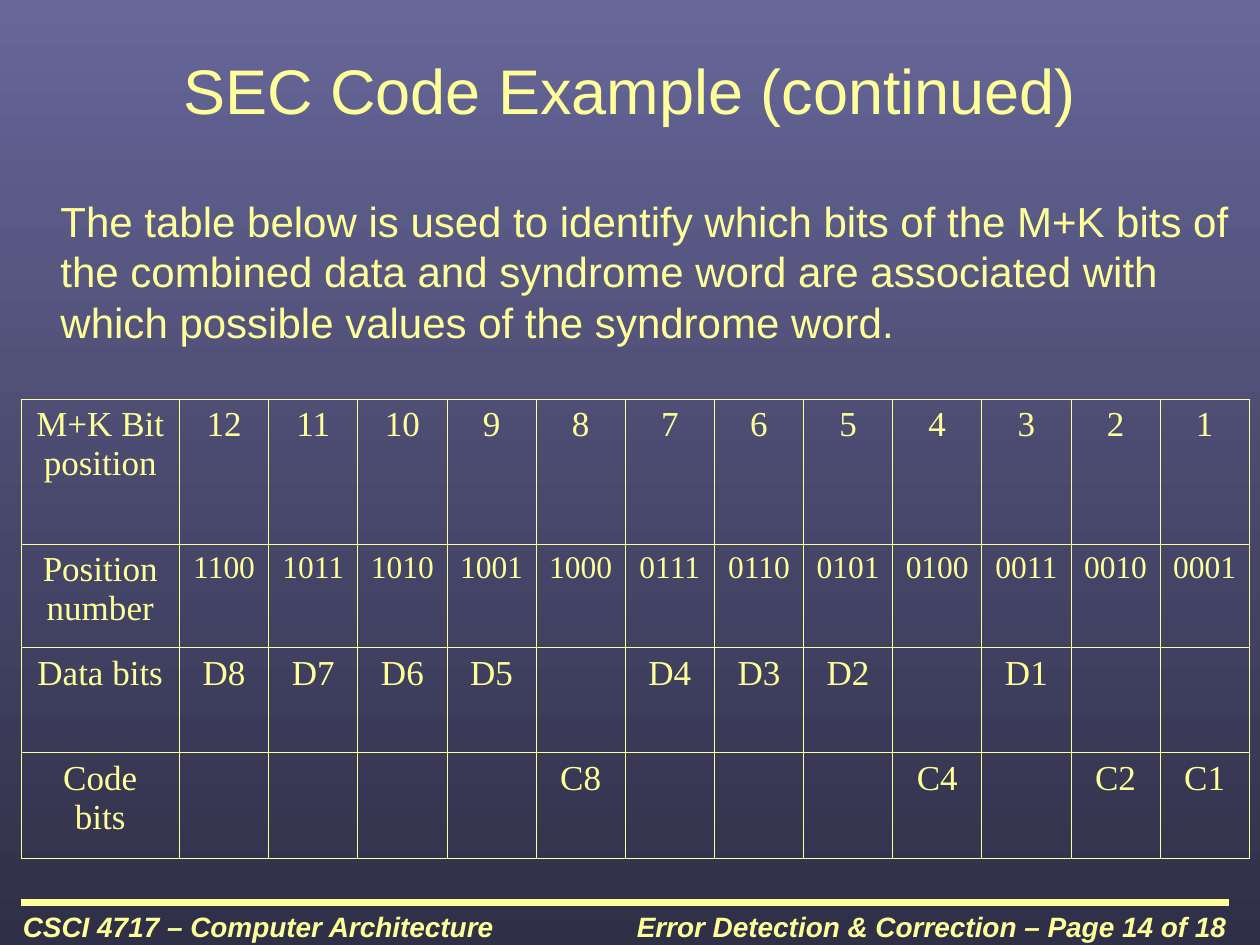
from lxml import etree
from pptx import Presentation
from pptx.dml.color import RGBColor
from pptx.enum.shapes import MSO_CONNECTOR
from pptx.enum.text import MSO_ANCHOR, MSO_AUTO_SIZE, PP_ALIGN
from pptx.oxml.ns import qn
from pptx.util import Inches, Pt

YELLOW = RGBColor(0xFF, 0xFF, 0x99)
SKY = RGBColor(0x66, 0x66, 0x99)
NIGHT = RGBColor(0x2F, 0x2F, 0x47)
LEFT, CENTER, RIGHT = PP_ALIGN.LEFT, PP_ALIGN.CENTER, PP_ALIGN.RIGHT
TOP, MIDDLE = MSO_ANCHOR.TOP, MSO_ANCHOR.MIDDLE
NO_FIT = MSO_AUTO_SIZE.NONE
STRAIGHT = MSO_CONNECTOR.STRAIGHT
UNIT = Inches(1) / 6
BITS = 12
LABEL_WIDTH = 7.55
ROW_HEIGHTS = (6.9, 4.95, 5, 5.05)


def grid(*units):
    """Convert grid units, 60 across and 45 down the slide, to lengths."""
    return [round(u * UNIT) for u in units]


def write(tf, text, size, align, font="Arial", bold=False, before=0):
    """Fill a text frame with one formatted paragraph and return it."""
    tf.text = text
    tf.word_wrap = True
    p = tf.paragraphs[0]
    p.alignment = align
    p.space_before = Pt(before)
    for r in p.runs:
        r.font.name, r.font.size = font, Pt(size)
        r.font.bold = r.font.italic = bold
        r.font.color.rgb = YELLOW
    return p


def fill_placeholder(sp, box, anchor, text, size, align, before=0):
    """Move a placeholder to its box and write its text."""
    sp.left, sp.top, sp.width, sp.height = grid(*box)
    tf = sp.text_frame
    tf.auto_size = NO_FIT
    tf.vertical_anchor = anchor
    return write(tf, text, size, align, before=before)


def add_body(sp, box, text):
    """Write the body as an indented paragraph without a bullet."""
    p = fill_placeholder(sp, box, TOP, text, 24, LEFT, before=6)
    pPr = p._p.get_or_add_pPr()
    pPr.set("marL", str(Inches(0.38)))
    pPr.set("indent", "0")
    etree.SubElement(pPr, qn("a:buNone"))


def add_footer(s, box, course, topic):
    """Draw the footer rule with the course on the left and topic on the right."""
    x, y, w, h = box
    rule = s.shapes.add_connector(STRAIGHT, *grid(x, y, x + w, y))
    rule.line.color.rgb = YELLOW
    rule.line.width = Pt(4)
    etree.SubElement(rule._element.spPr, qn("a:effectLst"))
    half = 30.5
    for left, text, align in ((x - 0.5, course, LEFT),
                              (x + w + 0.5 - half, topic, RIGHT)):
        sp = s.shapes.add_textbox(*grid(left, y, half, h))
        write(sp.text_frame, text, 16, align, bold=True, before=10)


def code_rows():
    """Derive the table rows: powers of two hold code bits, the rest data bits."""
    positions = range(BITS, 0, -1)
    code = {n for n in positions if n & (n - 1) == 0}
    data = [n for n in range(1, BITS + 1) if n not in code]
    return [
        ["M+K Bit position"] + [str(n) for n in positions],
        ["Position number"] + [f"{n:04b}" for n in positions],
        ["Data bits"] + [f"D{data.index(n) + 1}" if n in data else "" for n in positions],
        ["Code bits"] + [f"C{n}" if n in code else "" for n in positions],
    ]


def set_borders(cell):
    """Give a cell thin yellow lines on all sides and no fill."""
    tcPr = cell._tc.get_or_add_tcPr()
    for side in ("a:lnL", "a:lnR", "a:lnT", "a:lnB"):
        ln = etree.SubElement(tcPr, qn(side), w=str(Pt(0.45)))
        fill = etree.SubElement(ln, qn("a:solidFill"))
        etree.SubElement(fill, qn("a:srgbClr"), val=str(YELLOW))
    cell.fill.background()


def add_code_table(s, box):
    """Place the bit table, with a wide label column and equal bit columns."""
    rows = code_rows()
    table = s.shapes.add_table(len(rows), BITS + 1, *grid(*box)).table
    table.first_row = table.horz_banding = False
    widths = [LABEL_WIDTH] + [(box[2] - LABEL_WIDTH) / BITS] * BITS
    for col, width in zip(table.columns, grid(*widths)):
        col.width = width
    for row, height in zip(table.rows, grid(*ROW_HEIGHTS)):
        row.height = height
    for i, texts in enumerate(rows):
        for j, text in enumerate(texts):
            cell = table.cell(i, j)
            size = 18 if i == 1 and j else 20
            write(cell.text_frame, text, size, CENTER, font="Times New Roman")
            set_borders(cell)


def main():
    """Build the slide and save it."""
    prs = Presentation()
    prs.slide_width, prs.slide_height = grid(60, 45)
    s = prs.slides.add_slide(prs.slide_layouts[1])
    fill = s.background.fill
    fill.gradient()
    fill.gradient_angle = 270
    for stop, color, position in zip(fill.gradient_stops, (SKY, NIGHT), (0, 1)):
        stop.color.rgb = color
        stop.position = position
    fill_placeholder(s.shapes.title, (0, 1, 60, 6.5), MIDDLE,
                     "SEC Code Example (continued)", 36, CENTER)
    add_body(s.placeholders[1], (0, 9, 60, 8),
             "The table below is used to identify which bits of the M+K bits of "
             "the combined data and syndrome word are associated with which "
             "possible values of the syndrome word.")
    add_code_table(s, (1, 19, 58.5, sum(ROW_HEIGHTS)))
    add_footer(s, (1, 43, 57.5, 2), "CSCI 4717 – Computer Architecture",
               "Error Detection & Correction – Page 14 of 18")
    prs.save("out.pptx")


if __name__ == "__main__":
    main()
